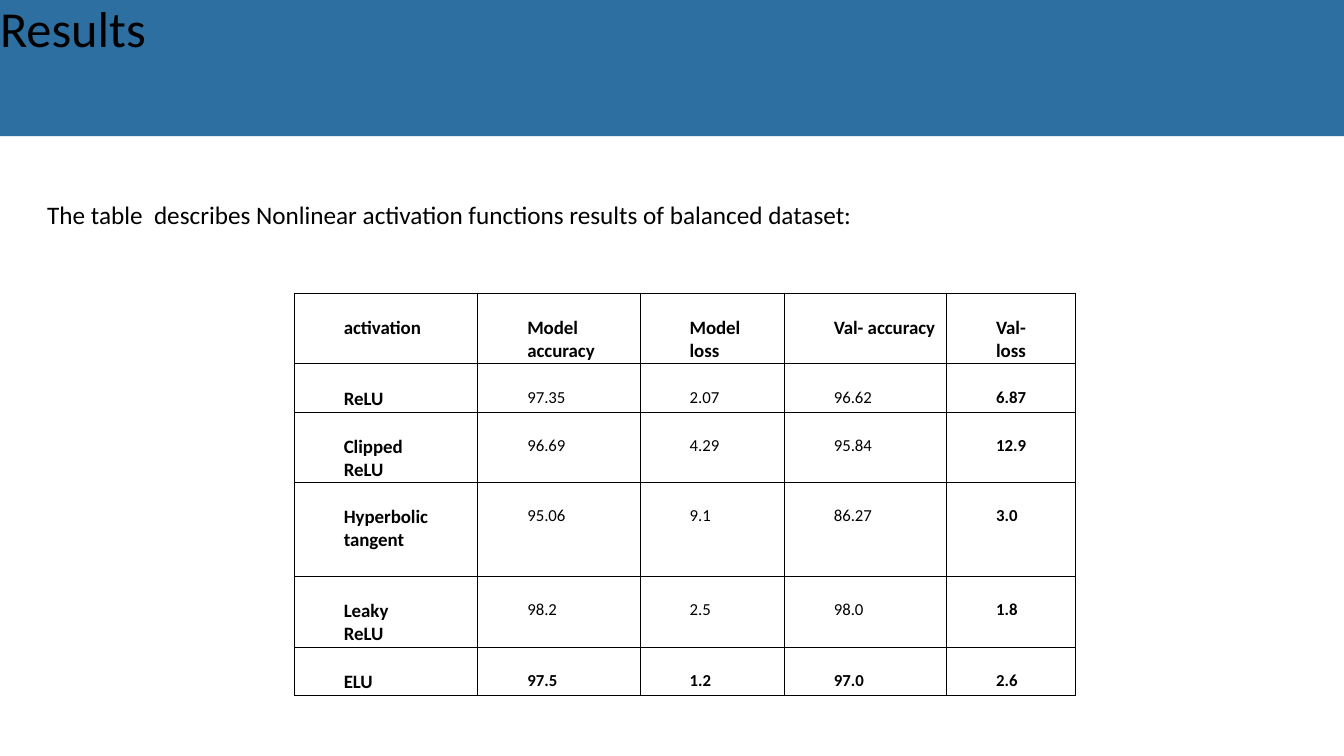
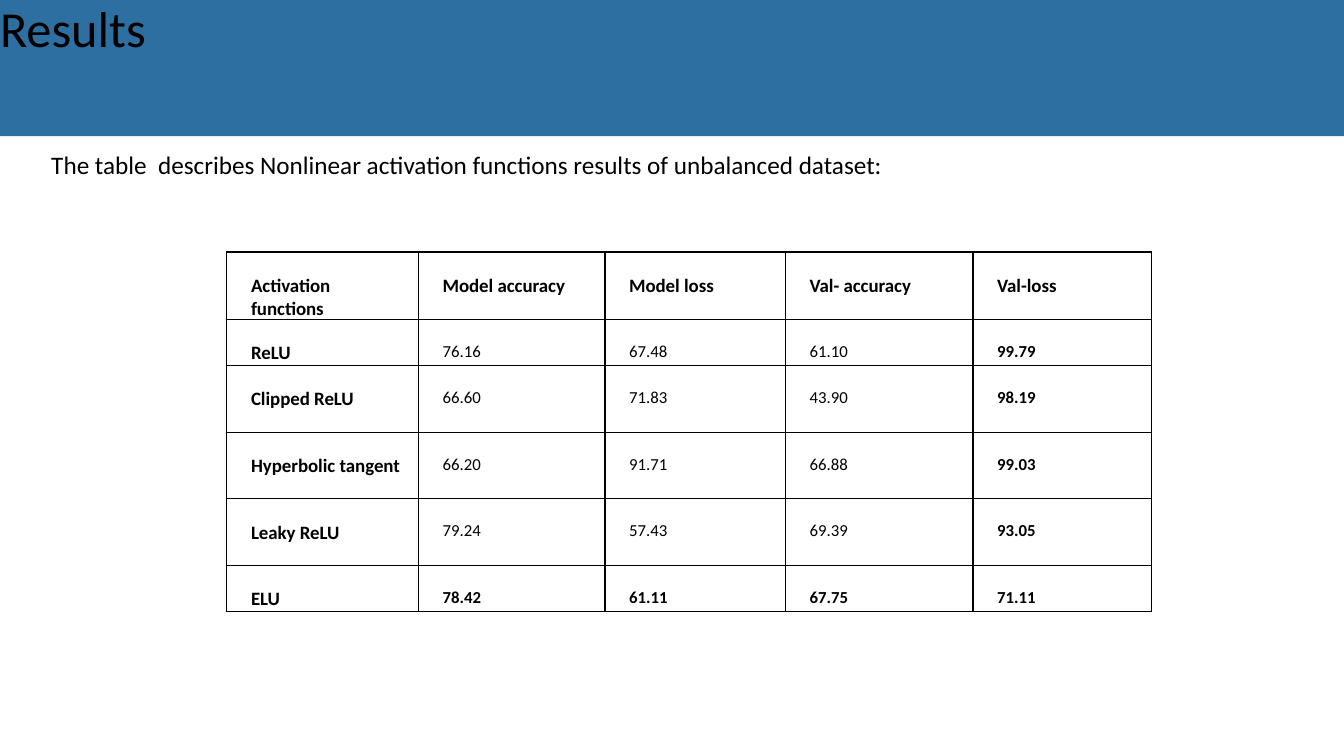
from dataclasses import dataclass

from lxml.etree import SubElement
from pptx import Presentation
from pptx.dml.color import RGBColor as Rgb
from pptx.enum.text import MSO_ANCHOR as Anchor, MSO_AUTO_SIZE as Fit, PP_ALIGN as Align
from pptx.oxml.ns import qn
from pptx.slide import Slide
from pptx.table import _Cell as Cell
from pptx.text.text import TextFrame as Frame
from pptx.util import Inches, Pt


@dataclass(frozen=True)
class Theme:
    font: str = "Calibri"
    band: str = "2D6FA0"
    ink: str = "000000"
    paper: str = "FFFFFF"
    title: float = 36
    lead: float = 18
    label: float = 13.5
    value: float = 12
    rule: float = 1


@dataclass(frozen=True)
class Grid:
    left: float
    top: float
    cols: tuple[float, ...]
    rows: tuple[float, ...]
    indent: float
    pad: float
    right: tuple[float, ...]  # right margin of each column
    data: tuple[tuple[str, ...], ...]


@dataclass(frozen=True)
class Page:
    lead: str
    box: tuple[float, float, float, float]
    grid: Grid


THEME = Theme()
WIDE, HIGH = 13.33, 7.5

PAGES = (
    Page(
        "The table  describes Nonlinear activation functions results of balanced dataset:",
        (0.37, 1.93, 10.3, 0.4),
        Grid(
            2.92, 2.91,
            (1.82, 1.61, 1.43, 1.61, 1.28),
            (0.7, 0.48, 0.7, 0.93, 0.7, 0.48),
            0.49, 0.23, (0.47, 0.1, 0.2, 0, 0.25),
            (
                ("activation", "Model accuracy", "Model loss", "Val- accuracy", "Val- loss"),
                ("ReLU", "97.35", "2.07", "96.62", "6.87"),
                ("Clipped ReLU", "96.69", "4.29", "95.84", "12.9"),
                ("Hyperbolic tangent", "95.06", "9.1", "86.27", "3.0"),
                ("Leaky ReLU", "98.2", "2.5", "98.0", "1.8"),
                ("ELU", "97.5", "1.2", "97.0", "2.6"),
            ),
        ),
    ),
    Page(
        "The table  describes Nonlinear activation functions results of unbalanced dataset:",
        (0.41, 1.43, 9.59, 0.71),
        Grid(
            2.25, 2.5,
            (1.9, 1.85, 1.79, 1.86, 1.77),
            (0.66, 0.46, 0.66, 0.66, 0.66, 0.46),
            0.24, 0.22, (0.15, 0, 0, 0, 0),
            (
                ("Activation functions", "Model accuracy", "Model loss", "Val- accuracy", "Val-loss"),
                ("ReLU", "76.16", "67.48", "61.10", "99.79"),
                ("Clipped ReLU", "66.60", "71.83", "43.90", "98.19"),
                ("Hyperbolic tangent", "66.20", "91.71", "66.88", "99.03"),
                ("Leaky ReLU", "79.24", "57.43", "69.39", "93.05"),
                ("ELU", "78.42", "61.11", "67.75", "71.11"),
            ),
        ),
    ),
)


def write(frame: Frame, text: str, size: float, bold: bool = False) -> None:
    para = frame.paragraphs[0]
    para.alignment = Align.LEFT
    run = para.add_run()
    run.text = text
    font = run.font
    font.name, font.size, font.bold = THEME.font, Pt(size), bold
    font.color.rgb = Rgb.from_string(THEME.ink)


# Title band
def head(slide: Slide, text: str) -> None:
    title = slide.shapes.title
    title.left, title.top = Inches(0), Inches(-0.03)
    title.width, title.height = Inches(WIDE), Inches(1.38)
    title.fill.solid()
    title.fill.fore_color.rgb = Rgb.from_string(THEME.band)
    frame = title.text_frame
    frame.margin_left = frame.margin_right = Inches(0)
    frame.margin_top = frame.margin_bottom = Inches(0)
    frame.vertical_anchor = Anchor.TOP
    frame.auto_size = Fit.NONE
    write(frame, text, THEME.title)


# Lead sentence
def intro(slide: Slide, page: Page) -> None:
    box = slide.shapes.add_textbox(*map(Inches, page.box))
    box.text_frame.word_wrap = True
    write(box.text_frame, page.lead, THEME.lead)


# Results table
def edge(cell: Cell) -> None:
    props = cell._tc.get_or_add_tcPr()
    for spot, side in enumerate("LRTB"):
        line = SubElement(props, qn(f"a:ln{side}"), w=str(Pt(THEME.rule)))
        fill = SubElement(line, qn("a:solidFill"))
        SubElement(fill, qn("a:srgbClr"), val=THEME.ink)
        props.insert(spot, line)


def table(slide: Slide, grid: Grid) -> None:
    rows, cols = len(grid.rows), len(grid.cols)
    area = map(Inches, (grid.left, grid.top, sum(grid.cols), sum(grid.rows)))
    tab = slide.shapes.add_table(rows, cols, *area).table
    tab.first_row = tab.horz_banding = False
    for col, width in zip(tab.columns, grid.cols):
        col.width = Inches(width)
    for r, (row, high) in enumerate(zip(tab.rows, grid.rows)):
        row.height = Inches(high)
        for c, cell in enumerate(row.cells):
            cell.margin_left = Inches(grid.indent)
            cell.margin_right = Inches(grid.right[c])
            cell.margin_top, cell.margin_bottom = Inches(grid.pad), Inches(0)
            cell.fill.solid()
            cell.fill.fore_color.rgb = Rgb.from_string(THEME.paper)
            edge(cell)
            size = THEME.label if r == 0 or c == 0 else THEME.value
            bold = r in (0, rows - 1) or c in (0, cols - 1)
            write(cell.text_frame, grid.data[r][c], size, bold)


def main() -> None:
    deck = Presentation()
    deck.slide_width, deck.slide_height = Inches(WIDE), Inches(HIGH)
    for page in PAGES:
        slide = deck.slides.add_slide(deck.slide_layouts.get_by_name("Title Only"))
        head(slide, "Results")
        intro(slide, page)
        table(slide, page.grid)
    deck.save("out.pptx")


if __name__ == "__main__":
    main()
